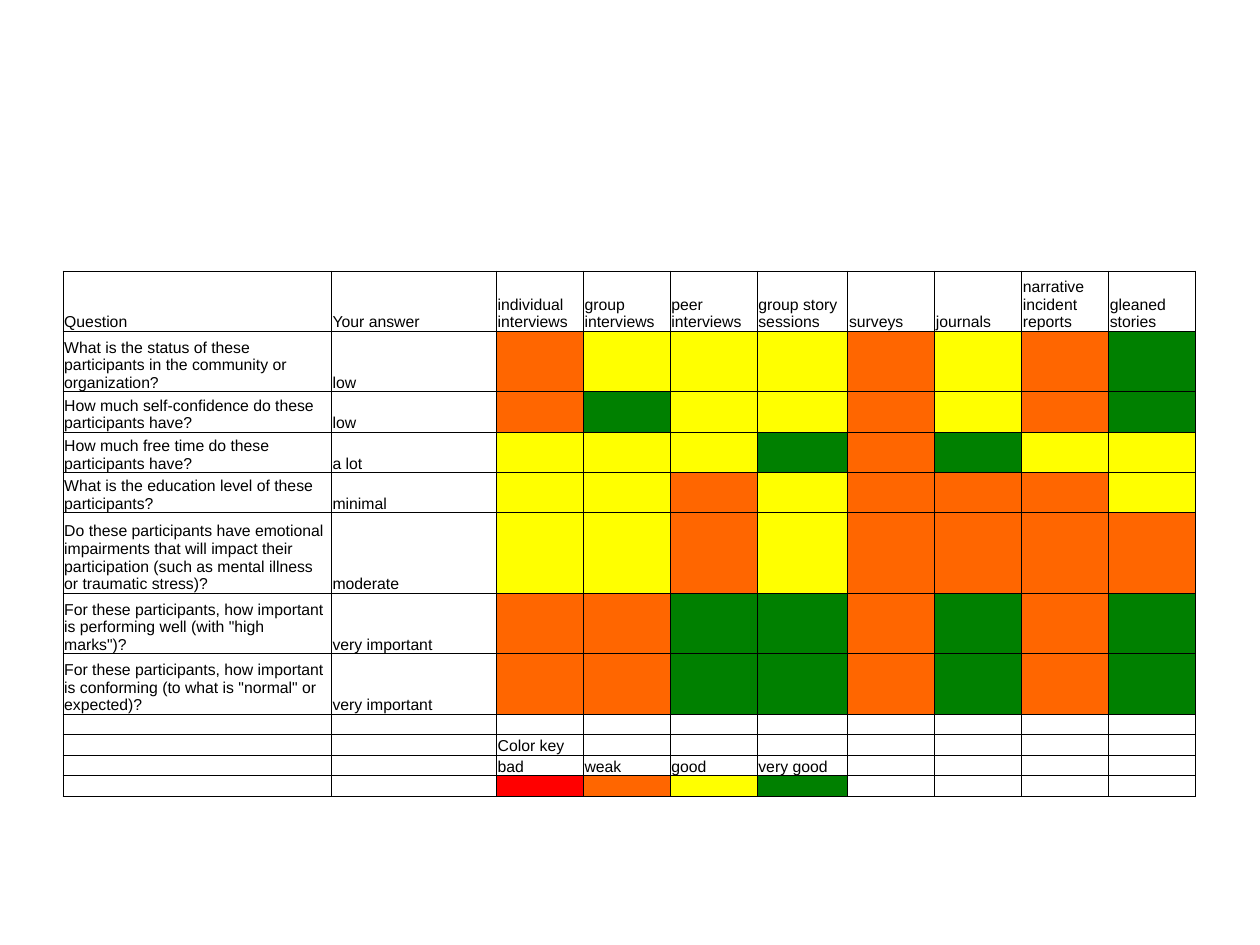
"""Builds a slide that rates story collection methods by participant question."""
from dataclasses import dataclass

from lxml import etree
from pptx import Presentation
from pptx.dml.color import RGBColor
from pptx.enum.text import MSO_ANCHOR
from pptx.oxml.ns import qn
from pptx.util import Inches, Pt

BOTTOM = MSO_ANCHOR.BOTTOM
BLANK_LAYOUT = 6

METHODS = ["individual interviews", "group interviews", "peer interviews",
           "group story sessions", "surveys", "journals",
           "narrative incident reports", "gleaned stories"]

# Ratings: B bad, W weak, G good, V very good, N neutral
QUESTIONS = [
    ("What is the status of these participants in the community or organization?",
     "low", "WGGGWGWV", 3),
    ("How much self-confidence do these participants have?",
     "low", "WVGGWGWV", 2),
    ("How much free time do these participants have?",
     "a lot", "GGGVWVGG", 2),
    ("What is the education level of these participants?",
     "minimal", "GGWGWWWG", 2),
    ("Do these participants have emotional impairments that will impact their "
     "participation (such as mental illness or traumatic stress)?",
     "moderate", "GGWGWWWW", 4),
    ('For these participants, how important is performing well (with "high marks")?',
     "very important", "WWVVWVWV", 3),
    ('For these participants, how important is conforming (to what is "normal" '
     'or expected)?',
     "very important", "WWVVWVWV", 3),
]
KEY_LABELS = ["bad", "weak", "good", "very good"]
KEY_RATINGS = "BWGVN"


@dataclass(frozen=True)
class Theme:
    """Fonts, sizes and colours of the slide."""
    font: str = "Arial"
    size: int = 9
    ink: str = "000000"
    border: float = 0.5
    ratings: tuple = (("B", "FF0000"), ("W", "FF6600"), ("G", "FFFF00"),
                      ("V", "008000"), ("N", "FFFFFF"))


class SlideBuilder:
    """Holds the theme and the current slide."""

    def __init__(self, slide, theme):
        self.slide = slide
        self.theme = theme
        self.rating_colors = dict(theme.ratings)

    def table(self, left, top, widths, heights):
        """Add an unstyled table with the given column widths and row heights."""
        table = self.slide.shapes.add_table(
            len(heights), len(widths), Inches(left), Inches(top),
            Inches(sum(widths)), Inches(sum(heights))).table
        table.first_row = table.horz_banding = False
        for column, width in zip(table.columns, widths):
            column.width = Inches(width)
        for row, height in zip(table.rows, heights):
            row.height = Inches(height)
        return table

    def cell(self, cell, text, rating):
        """Write one cell with its border, text and rating colour."""
        cell.margin_left = cell.margin_right = cell.margin_top = Inches(0.01)
        cell.margin_bottom = 0
        cell.vertical_anchor = BOTTOM
        self.borders(cell)
        if rating:
            cell.fill.solid()
            cell.fill.fore_color.rgb = RGBColor.from_string(self.rating_colors[rating])
        else:
            cell.fill.background()
        paragraph = cell.text_frame.paragraphs[0]
        if not text:
            end = etree.SubElement(paragraph._p, qn("a:endParaRPr"))
            end.set("sz", str(self.theme.size * 100))
            return
        paragraph.text = text
        font = paragraph.runs[0].font
        font.name = self.theme.font
        font.size = Pt(self.theme.size)
        font.color.rgb = RGBColor.from_string(self.theme.ink)

    def borders(self, cell):
        """Draw a thin line on all four sides of a cell."""
        properties = cell._tc.get_or_add_tcPr()
        for side in ("a:lnL", "a:lnR", "a:lnT", "a:lnB"):
            line = etree.SubElement(properties, qn(side), w=str(Pt(self.theme.border)))
            fill = etree.SubElement(line, qn("a:solidFill"))
            etree.SubElement(fill, qn("a:srgbClr"), val=self.theme.ink)


def main():
    """Build and save the slide."""
    deck = Presentation()
    deck.slide_width, deck.slide_height = Inches(10), Inches(7.5)
    slide = deck.slides.add_slide(deck.slide_layouts[BLANK_LAYOUT])
    builder = SlideBuilder(slide, Theme())

    rows = [(["Question", "Your answer", *METHODS], "", 3)]
    rows += [([question, answer], ratings, lines)
             for question, answer, ratings, lines in QUESTIONS]
    rows += [([], "", 1),
             (["", "", "Color key"], "", 1),
             (["", "", *KEY_LABELS], "", 1),
             ([], KEY_RATINGS, 1)]

    line_height = 0.16
    widths = [2.13, 1.31] + [0.69] * 3 + [0.72] + [0.69] * 4
    matrix = builder.table(0.5, 2.15, widths,
                           [line_height * lines for _, _, lines in rows])
    for row, (texts, ratings, _) in enumerate(rows):
        labels = dict(enumerate(texts))
        colors = dict(enumerate(ratings, start=2))
        for column in range(len(widths)):
            builder.cell(matrix.cell(row, column), labels.get(column), colors.get(column))

    deck.save("out.pptx")


if __name__ == "__main__":
    main()
